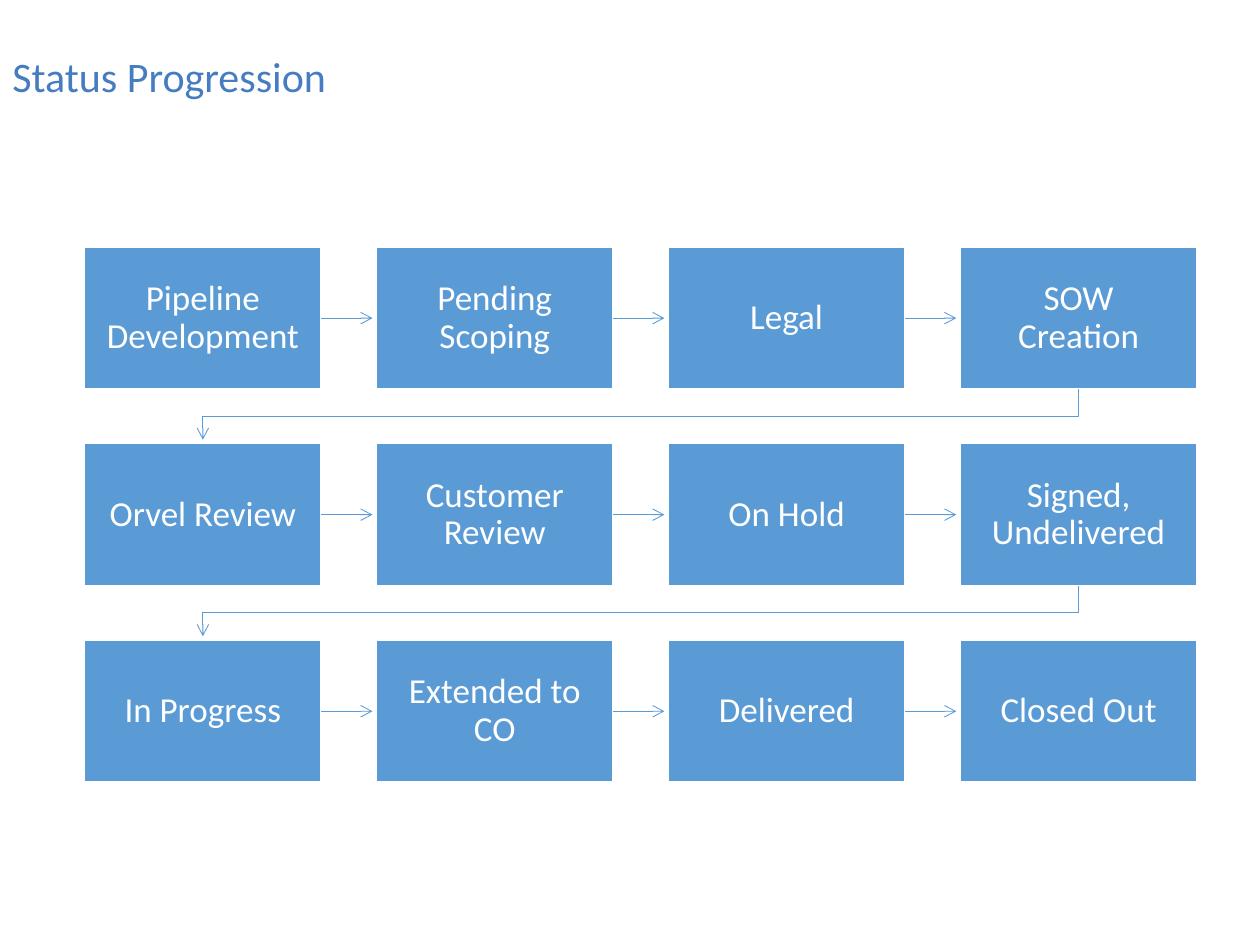
from lxml import etree
from pptx import Presentation
from pptx.dml.color import RGBColor
from pptx.enum import shapes, text
from pptx.oxml.ns import qn
from pptx.util import Inches, Pt

BLUE, TITLE_BLUE, WHITE = "5B9BD5", "467CC0", "FFFFFF"
STATUSES = [
    ["Pipeline Development", "Pending Scoping", "Legal", "SOW Creation"],
    ["Orvel Review", "Customer Review", "On Hold", "Signed, Undelivered"],
    ["In Progress", "Extended to CO", "Delivered", "Closed Out"],
]
BOX_WIDTH, BOX_HEIGHT = Inches(1.88), Inches(1.13)
ARROW_GAP = Inches(0.03)


def color(value):
    return RGBColor.from_string(value)


def write(shape, words, size, ink, align, inset):
    frame = shape.text_frame
    frame.text = words
    frame.word_wrap = True
    frame.vertical_anchor = text.MSO_ANCHOR.MIDDLE
    frame.margin_left = frame.margin_right = inset
    frame.margin_top = frame.margin_bottom = inset
    para = frame.paragraphs[0]
    para.alignment = align
    para.line_spacing = 0.9
    font = para.runs[0].font
    font.name, font.size = "Calibri", Pt(size)
    font.color.rgb = color(ink)


def style_arrow(arrow):
    """Give a line its colour, an open head at its end and no shadow."""
    arrow.line.color.rgb = color(BLUE)
    arrow.line.width = Pt(0.5)
    properties = arrow._element.spPr
    etree.SubElement(properties.find(qn("a:ln")), qn("a:tailEnd"), type="arrow")
    etree.SubElement(properties, qn("a:effectLst"))


def add_title(slide, left, top, width, height):
    title = slide.shapes.add_textbox(left, top, width, height)
    write(title, "Status Progression", 24, TITLE_BLUE, text.PP_ALIGN.LEFT, Inches(0.1))


def add_status(slide, words, left, top):
    box = slide.shapes.add_shape(shapes.MSO_SHAPE.RECTANGLE, left, top, BOX_WIDTH, BOX_HEIGHT)
    box.shadow.inherit = False
    box.fill.solid()
    box.fill.fore_color.rgb = color(BLUE)
    box.line.color.rgb = color(WHITE)
    box.line.width = Pt(1)
    write(box, words, 20, WHITE, text.PP_ALIGN.CENTER, Inches(0.16))
    return box


def add_step_arrow(slide, start, end):
    middle = start.top + start.height // 2
    arrow = slide.shapes.add_connector(
        shapes.MSO_CONNECTOR.STRAIGHT,
        start.left + start.width, middle, end.left - ARROW_GAP, middle)
    arrow.begin_connect(start, 3)
    style_arrow(arrow)


def add_return_arrow(slide, start, end):
    """Lead from the last box of a row down and back to the first of the next."""
    start_x = start.left + start.width // 2
    end_x = end.left + end.width // 2
    bottom = start.top + start.height
    turn = (bottom + end.top) // 2
    builder = slide.shapes.build_freeform(start_x, bottom)
    builder.add_line_segments(
        [(start_x, turn), (end_x, turn), (end_x, end.top - ARROW_GAP)], close=False)
    arrow = builder.convert_to_shape()
    arrow.fill.background()
    style_arrow(arrow)


def add_progression(slide, left, top, width, height):
    column_step = (width - BOX_WIDTH) // (len(STATUSES[0]) - 1)
    row_step = (height - BOX_HEIGHT) // (len(STATUSES) - 1)
    rows = [[add_status(slide, words, left + column * column_step, top + row * row_step)
             for column, words in enumerate(names)]
            for row, names in enumerate(STATUSES)]
    for boxes in rows:
        for start, end in zip(boxes, boxes[1:]):
            add_step_arrow(slide, start, end)
    for upper, lower in zip(rows, rows[1:]):
        add_return_arrow(slide, upper[-1], lower[0])


def main():
    deck = Presentation()
    deck.slide_width, deck.slide_height = Inches(10), Inches(7.5)
    slide = deck.slides.add_slide(deck.slide_layouts[6])
    add_title(slide, 0, 0, deck.slide_width, Inches(1.25))
    add_progression(slide, Inches(0.67), Inches(1.96), Inches(8.83), Inches(4.25))
    deck.save("out.pptx")


if __name__ == "__main__":
    main()
